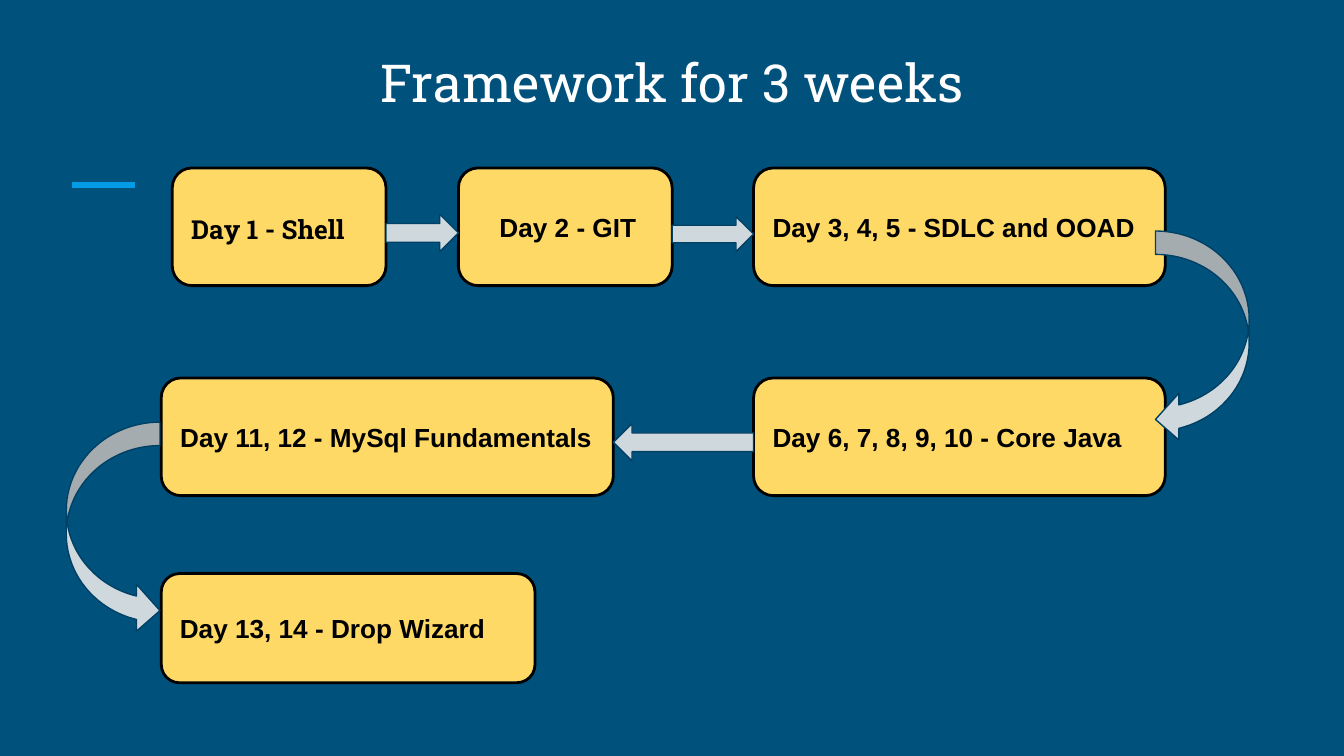
import pptx
import pptx.dml.color
import pptx.enum.shapes
import pptx.enum.text
import pptx.oxml
import pptx.util

Pt = pptx.util.Pt
SHAPES = pptx.enum.shapes.MSO_SHAPE
ALIGN = pptx.enum.text.PP_ALIGN
ANCHOR = pptx.enum.text.MSO_ANCHOR

BACKGROUND = "00517C"
ACCENT = "039BE5"
BOX_FILL = "FFD966"
BLACK = "000000"
WHITE = "FFFFFF"
ARROW_FILL = "CFD8DC"
ARROW_LINE = "004065"

BOX_HEIGHT = 63
ROW_1, ROW_2, ROW_3 = 90, 202.5, 307.3
RIGHT_COLUMN = 403.7

# text, left, top, width, height, font, line spacing, indent
DAY_BOXES = [
    ("Day 1 - Shell", 92.3, ROW_1, 114.5, BOX_HEIGHT, "Roboto Slab", 1.15, 0),
    ("Day 2 - GIT", 245.6, ROW_1, 114.5, BOX_HEIGHT, "Arial", 1, 11.7),
    ("Day 3, 4, 5 - SDLC and OOAD", RIGHT_COLUMN, ROW_1, 220.5, BOX_HEIGHT, "Arial", 1, 0),
    ("Day 6, 7, 8, 9, 10 - Core Java", RIGHT_COLUMN, ROW_2, 220.5, BOX_HEIGHT, "Arial", 1, 0),
    ("Day 11, 12 - MySql Fundamentals", 86.4, ROW_2, 242.2, BOX_HEIGHT, "Arial", 1, 0),
    ("Day 13, 14 - Drop Wizard", 86.4, ROW_3, 200.2, 58.5, "Arial", 1, 0),
]

# preset, left, top, width, height
ARROWS = [
    (SHAPES.CURVED_LEFT_ARROW, 619, 123.8, 50.2, 113.5),
    (SHAPES.LEFT_ARROW, 328.6, 227, 75.1, 20),
    (SHAPES.CURVED_RIGHT_ARROW, 35.5, 226.2, 50.2, 113.5),
    (SHAPES.RIGHT_ARROW, 206.8, 114.8, 38.8, 20),
    (SHAPES.RIGHT_ARROW, 360.1, 116, 43.6, 18.8),
]


def color(hex_string):
    return pptx.dml.color.RGBColor.from_string(hex_string)


def set_background(slide):
    fill = slide.background.fill
    fill.solid()
    fill.fore_color.rgb = color(BACKGROUND)


def write_text(shape, text, font_name, size, text_color, bold=False,
               alignment=ALIGN.LEFT, anchor=ANCHOR.MIDDLE, spacing=1, indent=0):
    """Put one paragraph in the shape; indent widens the left margin."""
    frame = shape.text_frame
    frame.word_wrap = True
    frame.vertical_anchor = anchor
    frame.margin_left = Pt(7.2 + indent)
    frame.margin_top = frame.margin_right = frame.margin_bottom = Pt(7.2)
    frame.text = text
    paragraph = frame.paragraphs[0]
    paragraph.alignment = alignment
    paragraph.line_spacing = spacing
    font = paragraph.runs[0].font
    font.name = font_name
    font.size = Pt(size)
    font.bold = bold
    font.color.rgb = color(text_color)


def add_title(slide, text):
    title = slide.shapes.add_textbox(Pt(30.5), Pt(17.3), Pt(658.8), Pt(50.4))
    write_text(title, text, "Roboto Slab", 28, WHITE,
               alignment=ALIGN.CENTER, anchor=ANCHOR.BOTTOM)


def add_accent_line(slide):
    line = slide.shapes.add_connector(
        pptx.enum.shapes.MSO_CONNECTOR.STRAIGHT, Pt(38.6), Pt(99), Pt(72.2), Pt(99))
    line.line.color.rgb = color(ACCENT)
    line.line.width = Pt(3)
    properties = line._element.spPr
    properties.append(pptx.oxml.parse_xml(
        '<a:effectLst xmlns:a="http://schemas.openxmlformats.org/drawingml/2006/main"/>'))


def add_filled_shape(slide, preset, left, top, width, height, fill, line, line_width):
    shape = slide.shapes.add_shape(preset, Pt(left), Pt(top), Pt(width), Pt(height))
    shape.shadow.inherit = False
    shape.fill.solid()
    shape.fill.fore_color.rgb = color(fill)
    shape.line.color.rgb = color(line)
    shape.line.width = Pt(line_width)
    return shape


def add_day_box(slide, text, left, top, width, height, font_name, spacing, indent):
    box = add_filled_shape(slide, SHAPES.ROUNDED_RECTANGLE, left, top, width, height,
                           BOX_FILL, BLACK, 1.5)
    write_text(box, text, font_name, 14, BLACK, bold=True, spacing=spacing, indent=indent)


def main():
    presentation = pptx.Presentation()
    presentation.slide_width = Pt(720)
    presentation.slide_height = Pt(405)
    slide = presentation.slides.add_slide(presentation.slide_layouts[6])
    set_background(slide)
    add_accent_line(slide)
    add_title(slide, "Framework for 3 weeks")
    for day_box in DAY_BOXES:
        add_day_box(slide, *day_box)
    for arrow in ARROWS:
        add_filled_shape(slide, *arrow, ARROW_FILL, ARROW_LINE, 0.75)
    presentation.save("out.pptx")


if __name__ == "__main__":
    main()
